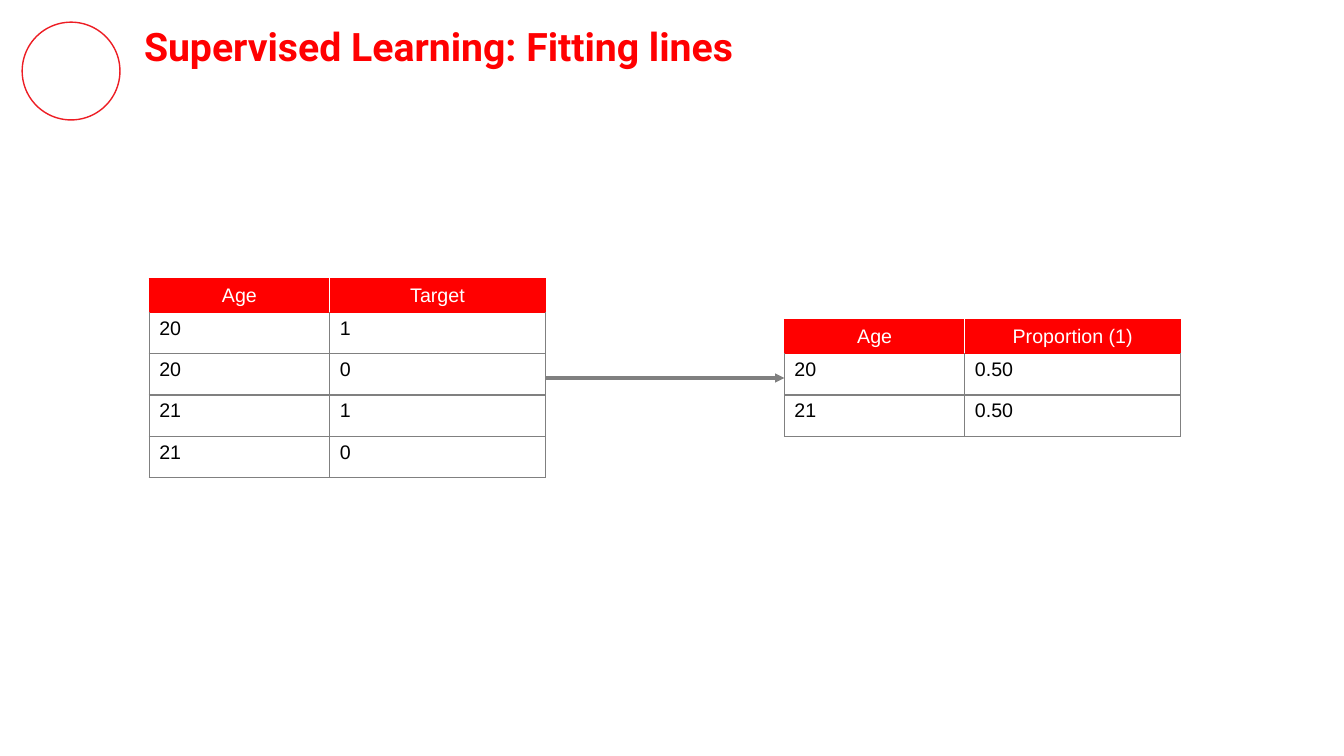
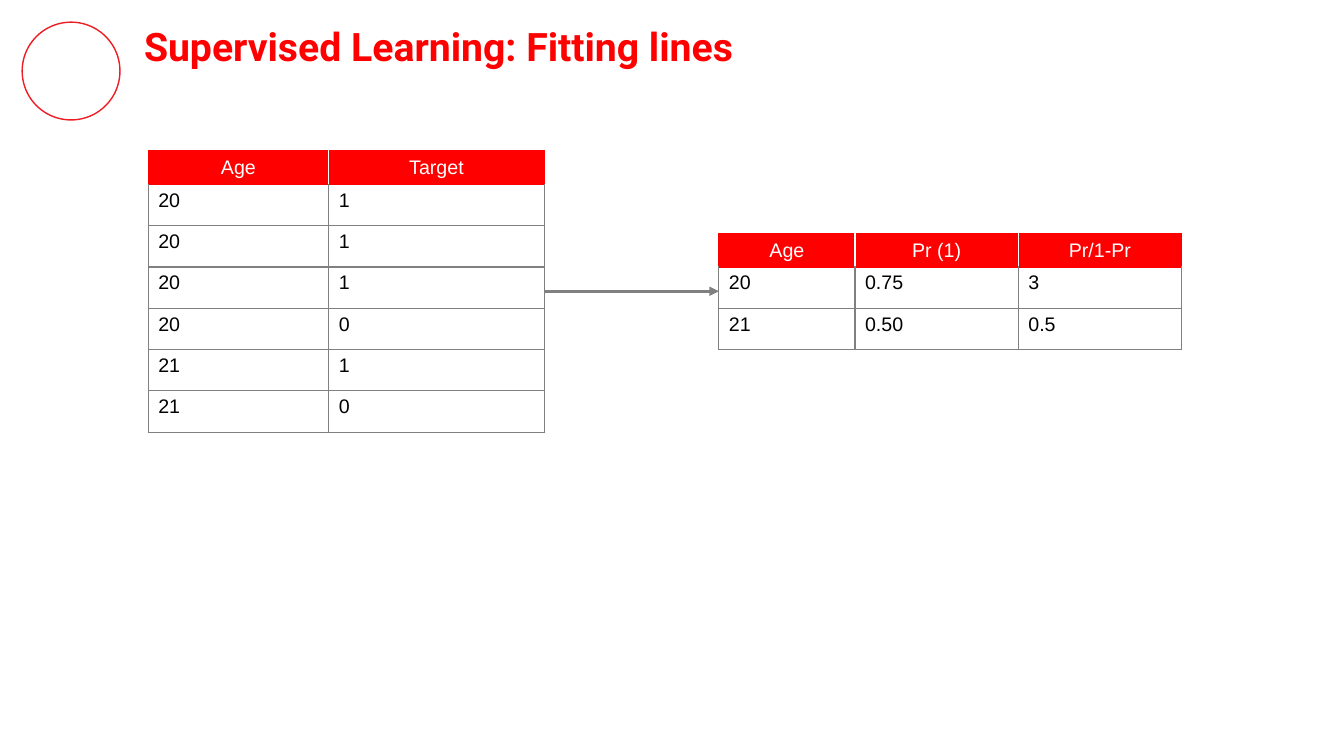
from lxml import etree
from pptx import Presentation
from pptx import util as u
from pptx.dml.color import RGBColor
from pptx.enum import shapes, text
from pptx.oxml import ns

COLORS = {"title": "FF0001", "ring": "ED1D24", "header": "FF0000",
          "grid": "808080", "white": "FFFFFF", "black": "000000"}
TITLE = "Supervised Learning: Fitting lines"
HEADER_HEIGHT, ROW_HEIGHT = 0.33, 0.41

# Each slide: height of the arrow, then its tables as (left, column widths, rows).
# Both tables are centred on the arrow.
SLIDES = [
    (3.75, [
        (1.48, [1.79, 2.14], [["Age", "Target"], ["20", "1"], ["20", "0"],
                              ["21", "1"], ["21", "0"]]),
        (7.78, [1.79, 2.14], [["Age", "Proportion (1)"], ["20", "0.50"], ["21", "0.50"]]),
    ]),
    (2.89, [
        (1.47, [1.79, 2.14], [["Age", "Target"], ["20", "1"], ["20", "1"], ["20", "1"],
                              ["20", "0"], ["21", "1"], ["21", "0"]]),
        (7.13, [1.35, 1.62, 1.62], [["Age", "Pr (1)", "Pr/1-Pr"],
                                    ["20", "0.75", "3"], ["21", "0.50", "0.5"]]),
    ]),
]


def set_borders(cell, **sides):
    """Give the cell 1 pt borders; sides maps L, R, T and B to colour names."""
    properties = cell._tc.get_or_add_tcPr()
    for position, side in enumerate("LRTB"):
        line = etree.Element(ns.qn(f"a:ln{side}"), w=str(u.Pt(1)))
        fill = etree.SubElement(line, ns.qn("a:solidFill"))
        etree.SubElement(fill, ns.qn("a:srgbClr"), val=COLORS[sides[side]])
        properties.insert(position, line)


def add_data_table(slide, left, middle, widths, rows):
    height = HEADER_HEIGHT + ROW_HEIGHT * (len(rows) - 1)
    table = slide.shapes.add_table(
        len(rows), len(widths), u.Inches(left), u.Inches(middle - height / 2),
        u.Inches(sum(widths)), u.Inches(height)).table
    table.horz_banding = False
    for column, width in zip(table.columns, widths):
        column.width = u.Inches(width)
    for r, values in enumerate(rows):
        is_header = r == 0
        table.rows[r].height = u.Inches(HEADER_HEIGHT if is_header else ROW_HEIGHT)
        for c, value in enumerate(values):
            cell = table.cell(r, c)
            cell.text = value
            cell.fill.solid()
            cell.fill.fore_color.rgb = RGBColor.from_string(
                COLORS["header" if is_header else "white"])
            paragraph = cell.text_frame.paragraphs[0]
            paragraph.font.name = "Arial"
            paragraph.font.size = u.Pt(14)
            paragraph.font.bold = False
            paragraph.font.color.rgb = RGBColor.from_string(
                COLORS["white" if is_header else "black"])
            if is_header:
                cell.vertical_anchor = text.MSO_ANCHOR.MIDDLE
                paragraph.alignment = text.PP_ALIGN.CENTER
                set_borders(cell, L="white" if c else "header",
                            R="white" if c < len(values) - 1 else "header",
                            T="header", B="header")
            else:
                set_borders(cell, L="grid", R="grid",
                            T="header" if r == 1 else "grid", B="grid")


presentation = Presentation()
presentation.slide_width = u.Inches(13.33)
presentation.slide_height = u.Inches(7.5)

for middle, tables in SLIDES:
    slide = presentation.slides.add_slide(presentation.slide_layouts[6])

    ring = slide.shapes.add_shape(shapes.MSO_SHAPE.OVAL, u.Inches(0.22), u.Inches(0.22),
                                  u.Inches(0.97), u.Inches(0.97))
    ring.shadow.inherit = False
    ring.fill.background()
    ring.line.color.rgb = RGBColor.from_string(COLORS["ring"])
    ring.line.width = u.Pt(1)

    title = slide.shapes.add_textbox(u.Inches(1.33), u.Inches(0.12),
                                     u.Inches(11.18), u.Inches(0.67))
    frame = title.text_frame
    frame.word_wrap = True
    frame.margin_left = frame.margin_right = u.Inches(0.1)
    frame.margin_top = frame.margin_bottom = u.Inches(0.1)
    frame.text = TITLE
    font = frame.paragraphs[0].font
    font.name = "Roboto"
    font.size = u.Pt(28)
    font.bold = True
    font.color.rgb = RGBColor.from_string(COLORS["title"])

    for left, widths, rows in tables:
        add_data_table(slide, left, middle, widths, rows)

    (source_left, source_widths, _), (result_left, _, _) = tables
    arrow = slide.shapes.add_connector(
        shapes.MSO_CONNECTOR.STRAIGHT,
        u.Inches(source_left + sum(source_widths)), u.Inches(middle),
        u.Inches(result_left), u.Inches(middle))
    arrow.line.color.rgb = RGBColor.from_string(COLORS["grid"])
    arrow.line.width = u.Pt(2.25)
    etree.SubElement(arrow.line._get_or_add_ln(), ns.qn("a:tailEnd"), type="triangle")
    etree.SubElement(arrow._element.spPr, ns.qn("a:effectLst"))

presentation.save("out.pptx")
